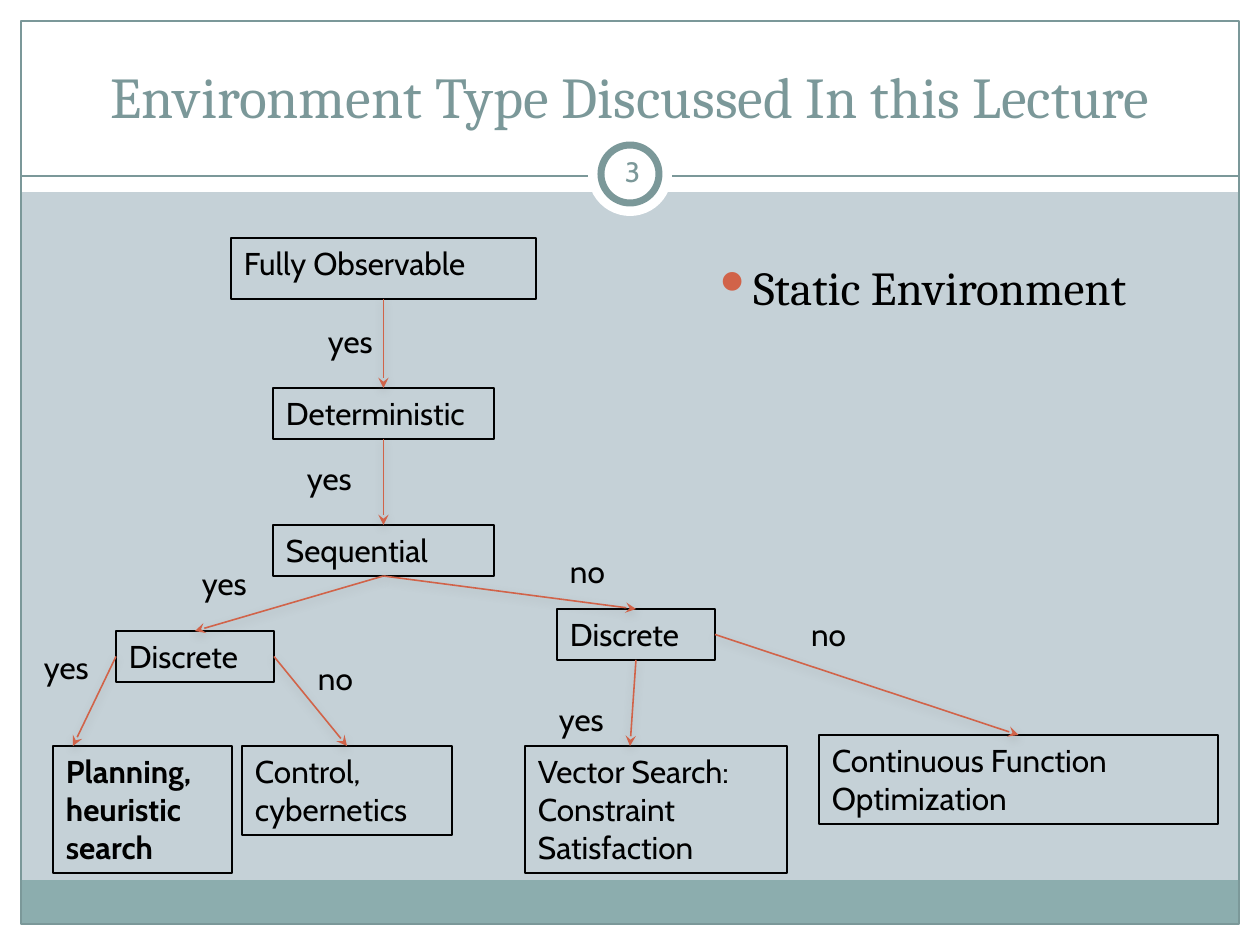
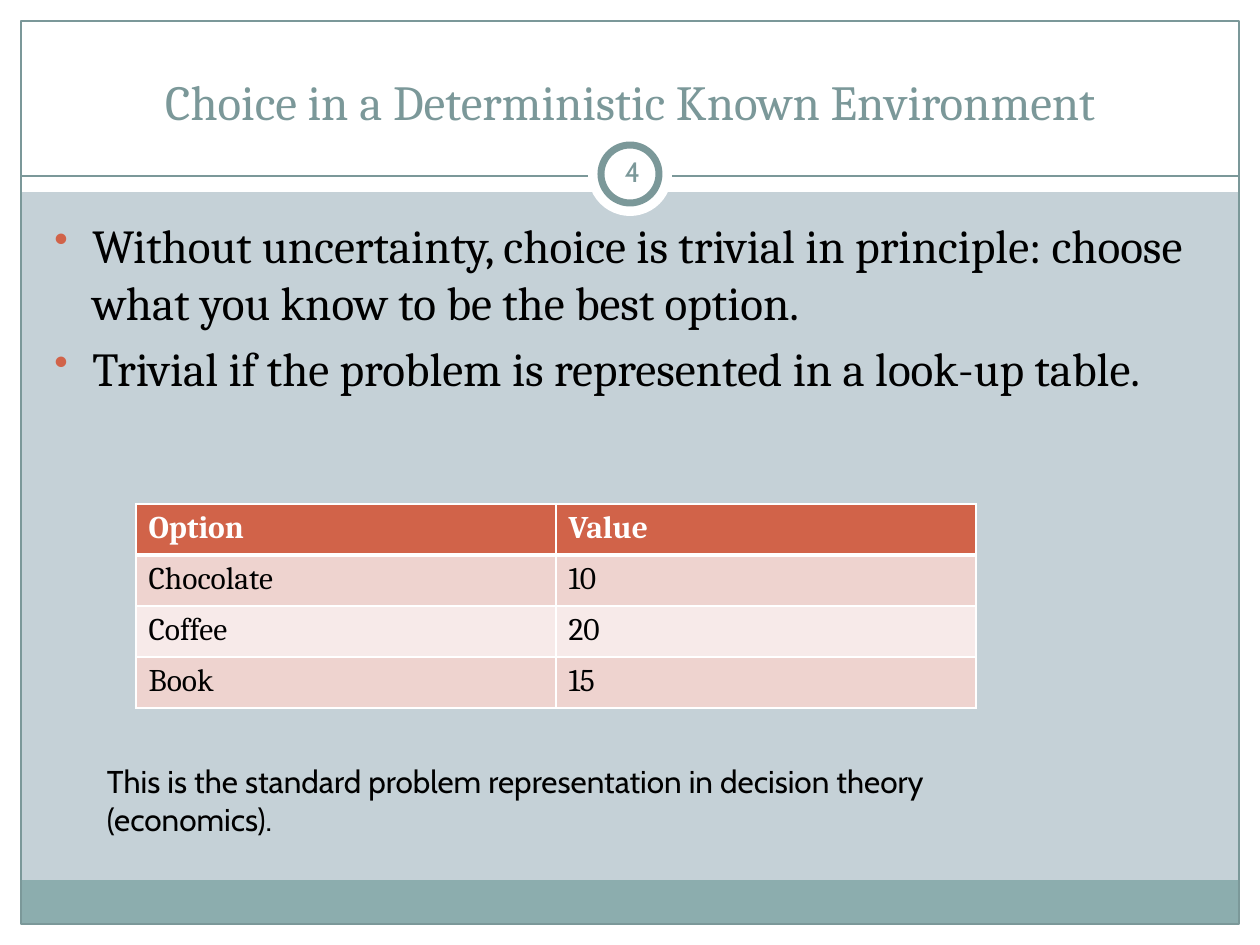
from lxml.etree import SubElement
from pptx import Presentation
from pptx.dml.color import RGBColor
from pptx.enum.shapes import MSO_CONNECTOR, MSO_SHAPE
from pptx.enum.text import MSO_ANCHOR, MSO_AUTO_SIZE, PP_ALIGN
from pptx.oxml.ns import qn
from pptx.util import Emu, Pt

PX_PER_INCH = 126
WIDTH, HEIGHT = 1260, 945
HEADING_FONT, LABEL_FONT = "Cambria", "Cabin"
BLACK, WHITE, SLATE, RUST = "000000", "FFFFFF", "7B9899", "D16349"
BACKDROP, FOOTER = "C5D1D7", "8CADAE"
ROW_TINTS = ["EED3CF", "F7EAE9"]

TITLE_AREA = (42, 32, 1176, 104)
NUMBER_AREA = (601, 141, 63, 60)
MARGIN = 21
RULE_Y = 176
# preset, area, fill, line colour, line width
FRAME = [
    (MSO_SHAPE.RECTANGLE, (0, HEIGHT - MARGIN, WIDTH, MARGIN), WHITE, None, 0),
    (MSO_SHAPE.RECTANGLE, (0, 0, WIDTH, 192), WHITE, None, 0),
    (MSO_SHAPE.RECTANGLE, (0, 0, MARGIN, HEIGHT), WHITE, None, 0),
    (MSO_SHAPE.RECTANGLE, (WIDTH - MARGIN, 0, MARGIN, HEIGHT), WHITE, None, 0),
    (MSO_SHAPE.RECTANGLE, (MARGIN, 880, WIDTH - 2 * MARGIN, 44), FOOTER, None, 0),
    (MSO_SHAPE.RECTANGLE,
     (MARGIN, MARGIN, WIDTH - 2 * MARGIN, HEIGHT - 2 * MARGIN), None, SLATE, 0.75),
]
BADGE = [
    (MSO_SHAPE.OVAL, (588, 132, 84, 84), WHITE, None, 0),
    (MSO_SHAPE.OVAL, (601, 145, 58, 58), WHITE, SLATE, 4),
]

TREE_TITLE = ("Environment Type Discussed In this Lecture", 33, "3")
TREE_NOTE = ["Static Environment"]
QUESTIONS = {
    "observable": ("Fully Observable", (231, 238, 305, 61)),
    "deterministic": ("Deterministic", (273, 388, 221, 51)),
    "sequential": ("Sequential", (273, 525, 221, 51)),
    "discrete_left": ("Discrete", (116, 631, 158, 51)),
    "discrete_right": ("Discrete", (557, 609, 158, 51)),
    "planning": ("Planning, heuristic search", (53, 746, 179, 127)),
    "control": ("Control, cybernetics", (242, 746, 210, 89)),
    "continuous": ("Continuous Function Optimization", (819, 735, 399, 89)),
    "vector": ("Vector Search: Constraint Satisfaction", (525, 746, 262, 127)),
}
EMPHASISED = "planning"
TOP, LEFT, BOTTOM, RIGHT = range(4)
# source, side left from, target, answer, answer position, landing x if off centre
ANSWERS = [
    ("observable", BOTTOM, "deterministic", "yes", (315, 316), None),
    ("deterministic", BOTTOM, "sequential", "yes", (294, 453), None),
    ("sequential", BOTTOM, "discrete_left", "yes", (189, 558), None),
    ("sequential", BOTTOM, "discrete_right", "no", (557, 546), None),
    ("discrete_left", LEFT, "planning", "yes", (31, 642), 73),
    ("discrete_left", RIGHT, "control", "no", (305, 653), None),
    ("discrete_right", BOTTOM, "vector", "yes", (546, 694), 630),
    ("discrete_right", RIGHT, "continuous", "no", (798, 609), None),
]
ANSWER_WIDTHS = {"yes": 116, "no": 84}

CHOICE_TITLE = ("Choice in a Deterministic Known Environment", 28, "4")
CHOICE_POINTS = [
    "Without uncertainty, choice is trivial in principle: "
    "choose what you know to be the best option.",
    "Trivial if the problem is represented in a look-up table.",
]
OPTIONS = [("Option", "Value"), ("Chocolate", "10"), ("Coffee", "20"), ("Book", "15")]
COLUMN_WIDTH, ROW_HEIGHT = 420, 51
CHOICE_REMARK = ("This is the standard problem representation "
                 "in decision theory (economics).")


def px(length):
    return Emu(round(length * 914400 / PX_PER_INCH))


def box(area):
    return [px(length) for length in area]


def color(code):
    return RGBColor.from_string(code)


def apply(target, values):
    for name, value in values.items():
        setattr(target, name, value)


def paint(target, code):
    """Fill a shape, line, cell or background; None leaves it clear."""
    if code:
        target.fill.solid()
        target.fill.fore_color.rgb = color(code)
    else:
        target.fill.background()


def style_run(run, size, font=LABEL_FONT, code=BLACK, bold=False):
    apply(run.font, {"size": Pt(size), "name": font, "bold": bold})
    run.font.color.rgb = color(code)


def write(shape, text, size=18, font=LABEL_FONT, code=BLACK, bold=False,
          align=PP_ALIGN.LEFT, anchor=MSO_ANCHOR.TOP, inset=13):
    frame = shape.text_frame
    apply(frame, {"word_wrap": True, "auto_size": MSO_AUTO_SIZE.NONE,
                  "vertical_anchor": anchor,
                  "margin_left": px(inset), "margin_right": px(inset),
                  "margin_top": px(6), "margin_bottom": px(6)})
    paragraph = frame.paragraphs[0]
    paragraph.alignment = align
    run = paragraph.add_run()
    run.text = text
    style_run(run, size, font, code, bold)


def add_outline(slide, preset, area, fill, line, width):
    shape = slide.shapes.add_shape(preset, *box(area))
    shape.shadow.inherit = False
    paint(shape, fill)
    paint(shape.line, line)
    if line:
        shape.line.width = Pt(width)
    return shape


def add_line(slide, start, end, code, width):
    line = slide.shapes.add_connector(MSO_CONNECTOR.STRAIGHT, *box(start + end))
    line.line.color.rgb = color(code)
    line.line.width = Pt(width)
    return line, SubElement(line._element.spPr, qn("a:effectLst"))


def add_arrow(slide):
    arrow, effects = add_line(slide, (0, 0), (0, 0), RUST, 0.9)
    SubElement(arrow.line._get_or_add_ln(), qn("a:tailEnd"), type="stealth")
    shadow = SubElement(effects, qn("a:outerShdw"), blurRad=str(Pt(5)),
                        dist=str(Pt(2)), dir="5400000", rotWithShape="0")
    tint = SubElement(shadow, qn("a:srgbClr"), val="808080")
    SubElement(tint, qn("a:alpha"), val="35000")
    return arrow


def add_bullets(slide, area, points, mark):
    frame = slide.shapes.add_textbox(*box(area)).text_frame
    frame.word_wrap = True
    for index, point in enumerate(points):
        paragraph = frame.add_paragraph() if index else frame.paragraphs[0]
        if index:
            paragraph.space_before = Pt(5.4)
        run = paragraph.add_run()
        run.text = point
        style_run(run, 27, HEADING_FONT)
        layout = paragraph._p.get_or_add_pPr()
        apply_indent = {"marL": px(38), "indent": -px(38)}
        for name, value in apply_indent.items():
            layout.set(name, str(value))
        SubElement(SubElement(layout, qn("a:buClr")), qn("a:srgbClr"), val=RUST)
        SubElement(layout, qn("a:buSzPct"), val="85000")
        SubElement(layout, qn("a:buChar"), char=mark)


def move_frame_to_layout(slide):
    """Draw the shared frame, then place it on the layout behind the placeholders."""
    layout = slide.slide_layout
    paint(layout.background, BACKDROP)
    parts = [add_outline(slide, *part) for part in FRAME]
    parts.append(add_line(slide, (MARGIN, RULE_Y), (WIDTH - MARGIN, RULE_Y),
                          SLATE, 0.75)[0])
    parts += [add_outline(slide, *part) for part in BADGE]
    for index, part in enumerate(parts):
        part._element.xpath(".//p:cNvPr")[0].set("id", str(100 + index))
        layout.shapes._spTree.insert(2 + index, part._element)


def add_slide(deck, heading, size, number):
    slide = deck.slides.add_slide(deck.slide_layouts[5])
    title = slide.shapes.title
    apply(title, dict(zip(("left", "top", "width", "height"), box(TITLE_AREA))))
    write(title, heading, size, HEADING_FONT, SLATE,
          align=PP_ALIGN.CENTER, anchor=MSO_ANCHOR.BOTTOM)
    write(slide.shapes.add_textbox(*box(NUMBER_AREA)), number, 16, code=SLATE,
          align=PP_ALIGN.CENTER, anchor=MSO_ANCHOR.MIDDLE, inset=6)
    return slide


def draw_tree(slide):
    add_bullets(slide, (703, 252, 515, 158), TREE_NOTE, "⚫")
    nodes = {}
    for key, (text, area) in QUESTIONS.items():
        nodes[key] = add_outline(slide, MSO_SHAPE.RECTANGLE, area, None, BLACK, 0.75)
        write(nodes[key], text, bold=key == EMPHASISED)
    for source, side, target, answer, position, landing in ANSWERS:
        arrow = add_arrow(slide)
        arrow.begin_connect(nodes[source], side)
        if landing:
            apply(arrow, {"end_x": px(landing), "end_y": nodes[target].top})
        else:
            arrow.end_connect(nodes[target], TOP)
        area = position + (ANSWER_WIDTHS[answer], 51)
        write(slide.shapes.add_textbox(*box(area)), answer)


def add_borders(cell, row):
    heavy = {"lnT": row == 1, "lnB": row == 0}
    for side in ("lnL", "lnR", "lnT", "lnB"):
        width = Pt(3 if heavy.get(side) else 1)
        border = SubElement(cell._tc.get_or_add_tcPr(), qn(f"a:{side}"), w=str(width))
        SubElement(SubElement(border, qn("a:solidFill")), qn("a:srgbClr"), val=WHITE)


def draw_options(slide):
    rows, columns = len(OPTIONS), len(OPTIONS[0])
    area = (136, 504, columns * COLUMN_WIDTH, rows * ROW_HEIGHT)
    table = slide.shapes.add_table(rows, columns, *box(area)).table
    for row, option in enumerate(OPTIONS):
        for column, text in enumerate(option):
            cell = table.cell(row, column)
            add_borders(cell, row)
            paint(cell, ROW_TINTS[(row - 1) % 2] if row else RUST)
            run = cell.text_frame.paragraphs[0].add_run()
            run.text = text
            style_run(run, 18, HEADING_FONT, BLACK if row else WHITE, row == 0)


def main():
    deck = Presentation()
    apply(deck, {"slide_width": px(WIDTH), "slide_height": px(HEIGHT)})

    tree = add_slide(deck, *TREE_TITLE)
    move_frame_to_layout(tree)
    draw_tree(tree)

    choice = add_slide(deck, *CHOICE_TITLE)
    add_bullets(choice, (42, 210, 1172, 630), CHOICE_POINTS, "•")
    draw_options(choice)
    write(choice.shapes.add_textbox(*box((94, 756, 955, 89))), CHOICE_REMARK)

    deck.save("out.pptx")


if __name__ == "__main__":
    main()
